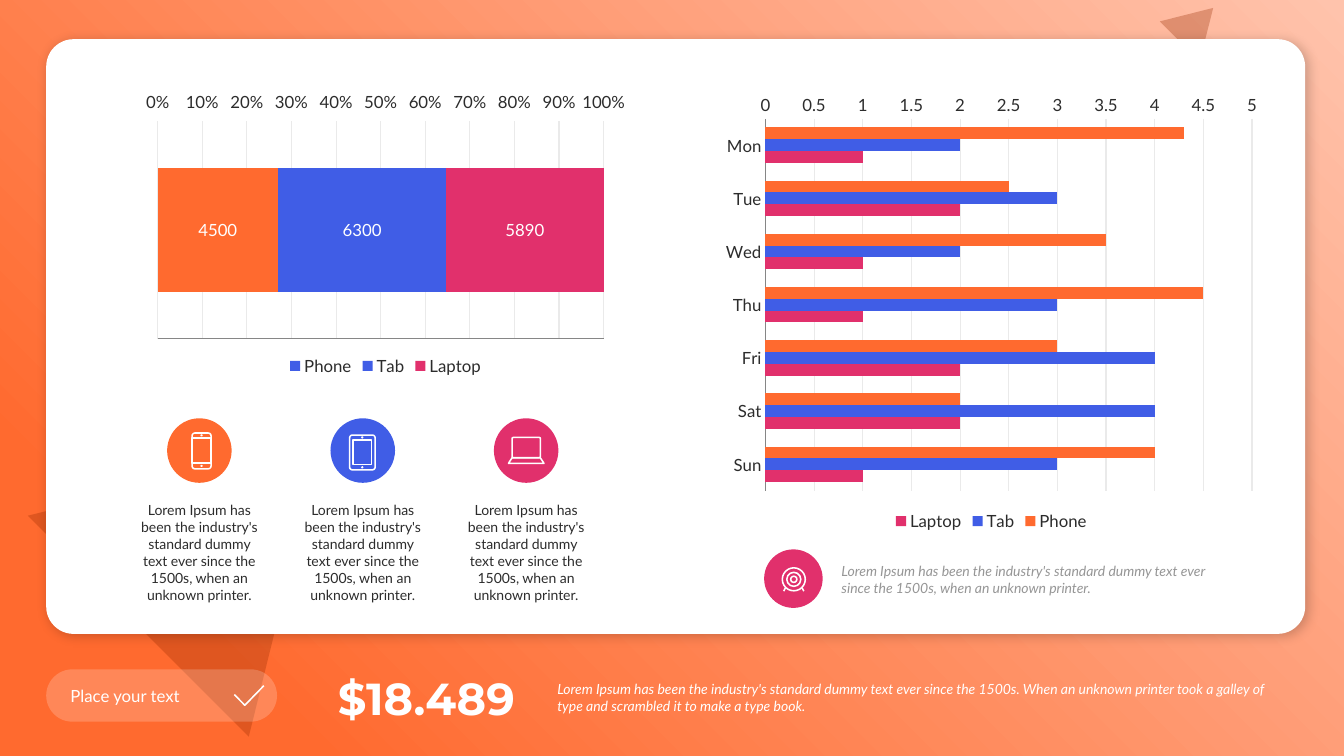
from lxml import etree
from pptx import Presentation
from pptx import util as u
from pptx.chart import data
from pptx.dml import color
from pptx.enum import chart as charts
from pptx.enum import shapes, text
from pptx.oxml import ns

ORANGE = color.RGBColor(0xFF, 0x6A, 0x2F)
PEACH = color.RGBColor(0xFF, 0xC3, 0xAC)
RUST = color.RGBColor(0x97, 0x2B, 0x00)
BLUE = color.RGBColor(0x40, 0x5D, 0xE6)
PINK = color.RGBColor(0xE1, 0x30, 0x6C)
WHITE = color.RGBColor(0xFF, 0xFF, 0xFF)
INK = color.RGBColor(0x2C, 0x2C, 0x2C)
GRAY = color.RGBColor(0x96, 0x96, 0x96)
AXIS = color.RGBColor(0x86, 0x86, 0x86)
GRID = color.RGBColor(0xEA, 0xEA, 0xEA)

OVAL = shapes.MSO_SHAPE.OVAL
ROUND = shapes.MSO_SHAPE.ROUNDED_RECTANGLE
RECT = shapes.MSO_SHAPE.RECTANGLE
TRIANGLE = shapes.MSO_SHAPE.ISOSCELES_TRIANGLE
PRINTER = "Lorem Ipsum has been the industry's standard dummy text ever since the 1500s, when an unknown printer."
GALLEY = ("Lorem Ipsum has been the industry's standard dummy text ever since the 1500s. "
          "When an unknown printer took a galley of type and scrambled it to make a type book.")


def write(words, box, size=10, font="Lato", ink=WHITE, bold=False, italic=False,
          align=text.PP_ALIGN.LEFT, anchor=text.MSO_ANCHOR.MIDDLE, after=0):
    frame = box.text_frame
    frame.word_wrap = True
    frame.auto_size = text.MSO_AUTO_SIZE.NONE
    frame.vertical_anchor = anchor
    para = frame.paragraphs[0]
    para.alignment = align
    para.space_after = u.Pt(after)
    span = para.add_run()
    span.text = words
    span.font.name = font
    span.font.size = u.Pt(size)
    span.font.bold = bold
    span.font.italic = italic
    span.font.color.rgb = ink


def draw(owner, kind, place, fill=None, alpha=100, corner=None, turn=0):
    shape = owner.add_shape(kind, *map(u.Pt, place))
    shape.shadow.inherit = False
    shape.rotation = turn
    if corner is not None:
        shape.adjustments[0] = corner
    if fill is None:
        shape.fill.background()
        shape.line.color.rgb = WHITE
        shape.line.width = u.Pt(1.1)
    else:
        shape.fill.solid()
        shape.fill.fore_color.rgb = fill
        shape.line.fill.background()
    if alpha < 100:
        tone = shape.element.spPr.find(".//" + ns.qn("a:srgbClr"))
        etree.SubElement(tone, ns.qn("a:alpha"), val=str(alpha * 1000))
    return shape


deck = Presentation()
deck.slide_width = u.Pt(960)
deck.slide_height = u.Pt(540)
page = deck.slides.add_slide(deck.slide_layouts[5])

backdrop = page.background.fill
backdrop.gradient()
for stop, tone, position in zip(backdrop.gradient_stops, (PEACH, ORANGE), (0, 0.85)):
    stop.color.rgb = tone
    stop.position = position
gradient = page.element.find(".//" + ns.qn("a:gradFill"))
gradient.remove(gradient.find(ns.qn("a:lin")))
radial = etree.SubElement(gradient, ns.qn("a:path"), path="circle")
etree.SubElement(radial, ns.qn("a:fillToRect"), l="100000", b="100000")

draw(page.shapes, TRIANGLE, (52.6, 289.4, 223.2, 185), RUST, alpha=30, turn=45)
draw(page.shapes, TRIANGLE, (834.5, 0.7, 40.3, 33.8), RUST, alpha=30, turn=45)
card = draw(page.shapes, ROUND, (33, 28, 899.3, 424.8), WHITE, corner=0.046)
effects = card.element.spPr.find(ns.qn("a:effectLst"))
shadow = etree.SubElement(effects, ns.qn("a:outerShdw"), blurRad=str(u.Pt(8)),
                          dist=str(u.Pt(3)), dir="2700000", algn="tl", rotWithShape="0")
shade = etree.SubElement(shadow, ns.qn("a:srgbClr"), val="000000")
etree.SubElement(shade, ns.qn("a:alpha"), val="20000")

share = data.CategoryChartData()
share.categories = ["1"]
for name, amount in (("Phone", 4500), ("Tab", 6300), ("Laptop", 5890)):
    share.add_series(name, [amount])
week = data.CategoryChartData()
week.categories = ["Mon", "Tue", "Wed", "Thu", "Fri", "Sat", "Sun"]
week.add_series("Phone", [4.3, 2.5, 3.5, 4.5, 3, 2, 4])
week.add_series("Tab", [2, 3, 2, 3, 4, 4, 3])
week.add_series("Laptop", [1, 2, 1, 1, 2, 2, 1])

graphs = []
for kind, place, figures, gap, step, tones in (
        (charts.XL_CHART_TYPE.BAR_STACKED_100, (97.2, 61.2, 356.4, 210.2), share, 75, 0.1, (BLUE, BLUE, PINK)),
        (charts.XL_CHART_TYPE.BAR_CLUSTERED, (510.5, 61.2, 395.3, 321.1), week, 150, 0.5, (ORANGE, BLUE, PINK))):
    graph = page.shapes.add_chart(kind, *map(u.Pt, place), figures).chart
    graph.has_title = False
    graph.font.name = "Lato"
    graph.font.size = u.Pt(12)
    graph.font.color.rgb = INK
    graph.has_legend = True
    graph.legend.position = charts.XL_LEGEND_POSITION.BOTTOM
    graph.legend.include_in_layout = False
    plot = graph.plots[0]
    plot.gap_width = gap
    plot.vary_by_categories = False
    for series, tone in zip(plot.series, tones):
        series.format.fill.solid()
        series.format.fill.fore_color.rgb = tone
    for axis in (graph.category_axis, graph.value_axis):
        axis.major_tick_mark = charts.XL_TICK_MARK.NONE
        axis.minor_tick_mark = charts.XL_TICK_MARK.NONE
        axis.format.line.color.rgb = AXIS
    graph.value_axis.major_unit = step
    graph.value_axis.major_gridlines.format.line.color.rgb = GRID
    graph.value_axis.major_gridlines.format.line.width = u.Pt(0.75)
    graphs.append(graph)

share_graph, week_graph = graphs
share_graph.category_axis.visible = False
share_graph.value_axis.tick_label_position = charts.XL_TICK_LABEL_POSITION.HIGH
share_graph.value_axis.tick_labels.number_format = "0%"
share_graph.value_axis.tick_labels.number_format_is_linked = False
share_plot = share_graph.plots[0]
share_plot.has_data_labels = True
share_plot.data_labels.show_value = True
share_plot.data_labels.font.color.rgb = WHITE
share_plot.data_labels.font.size = u.Pt(12)
phone_bar = share_plot.series[0].points[0].format.fill
phone_bar.solid()
phone_bar.fore_color.rgb = ORANGE
week_graph.category_axis.reverse_order = True
week_graph.value_axis.minimum_scale = 0
week_graph.value_axis.maximum_scale = 5
week_graph.value_axis.format.line.fill.background()

for column, tone in enumerate((ORANGE, BLUE, PINK)):
    left = 93.4 + 116.7 * column
    draw(page.shapes, OVAL, (left + 26, 298.8, 46.1, 46.1), tone)
    box = page.shapes.add_textbox(*map(u.Pt, (left, 355, 98, 80)))
    write(PRINTER, box, ink=INK, align=text.PP_ALIGN.CENTER, anchor=text.MSO_ANCHOR.TOP, after=6)
draw(page.shapes, OVAL, (545.8, 392.4, 41.8, 41.8), PINK)

for kind, place, corner in (
        (ROUND, (137.2, 309.3, 13.6, 25.6), 0.15),
        (RECT, (137.2, 312.8, 13.6, 18), None),
        (ROUND, (249.8, 310.8, 18.2, 24.8), 0.1),
        (RECT, (252.2, 314.3, 13.3, 17.6), None),
        (ROUND, (365.8, 312.5, 20.2, 14.4), 0.06)):
    draw(page.shapes, kind, place, corner=corner)
for x, y in ((144, 311), (144, 332.8), (258.8, 312.5), (258.8, 333.8)):
    draw(page.shapes, OVAL, (x - 0.8, y - 0.8, 1.6, 1.6), WHITE)
for radius in (8.2, 5, 2.2):
    draw(page.shapes, OVAL, (567 - radius, 413.8 - radius, 2 * radius, 2 * radius))
for side in (-1, 1):
    ends = (567 + 6 * side, 420, 567 + 7.2 * side, 422.3)
    foot = page.shapes.add_connector(shapes.MSO_CONNECTOR.STRAIGHT, *map(u.Pt, ends))
    foot.line.color.rgb = WHITE
    foot.line.width = u.Pt(1.1)
    etree.SubElement(foot.element.spPr, ns.qn("a:effectLst"))

button = page.shapes.add_group_shape().shapes
draw(button, ROUND, (33, 478.1, 164.9, 37.4), WHITE, alpha=20, corner=0.5)
for owner, points, closed in (
        (page.shapes, ((365.8, 327), (386, 327), (388.6, 331), (363.2, 331)), True),
        (button, ((167.4, 496.2), (174.9, 503.8), (188.5, 489.8)), False)):
    corners = [(u.Pt(x), u.Pt(y)) for x, y in points]
    builder = owner.build_freeform(*corners[0])
    builder.add_line_segments(corners[1:], close=closed)
    outline = builder.convert_to_shape()
    outline.shadow.inherit = False
    outline.fill.background()
    outline.line.color.rgb = WHITE
    outline.line.width = u.Pt(1.1)
write("Place your text", button.add_textbox(*map(u.Pt, (43.2, 486, 135.4, 21.6))), size=12)

title = page.shapes.title
title.left, title.top, title.width, title.height = map(u.Pt, (229.7, 475.2, 145.4, 46.1))
write("$18.489", title, size=32, font="Montserrat", bold=True, align=text.PP_ALIGN.RIGHT)
for words, place, ink, after in (
        (GALLEY, (391, 482.4, 527.8, 31.7), WHITE, 6),
        (PRINTER, (594, 398.2, 293, 31.7), GRAY, 0)):
    box = page.shapes.add_textbox(*map(u.Pt, place))
    write(words, box, ink=ink, italic=True, after=after)

deck.save("out.pptx")
